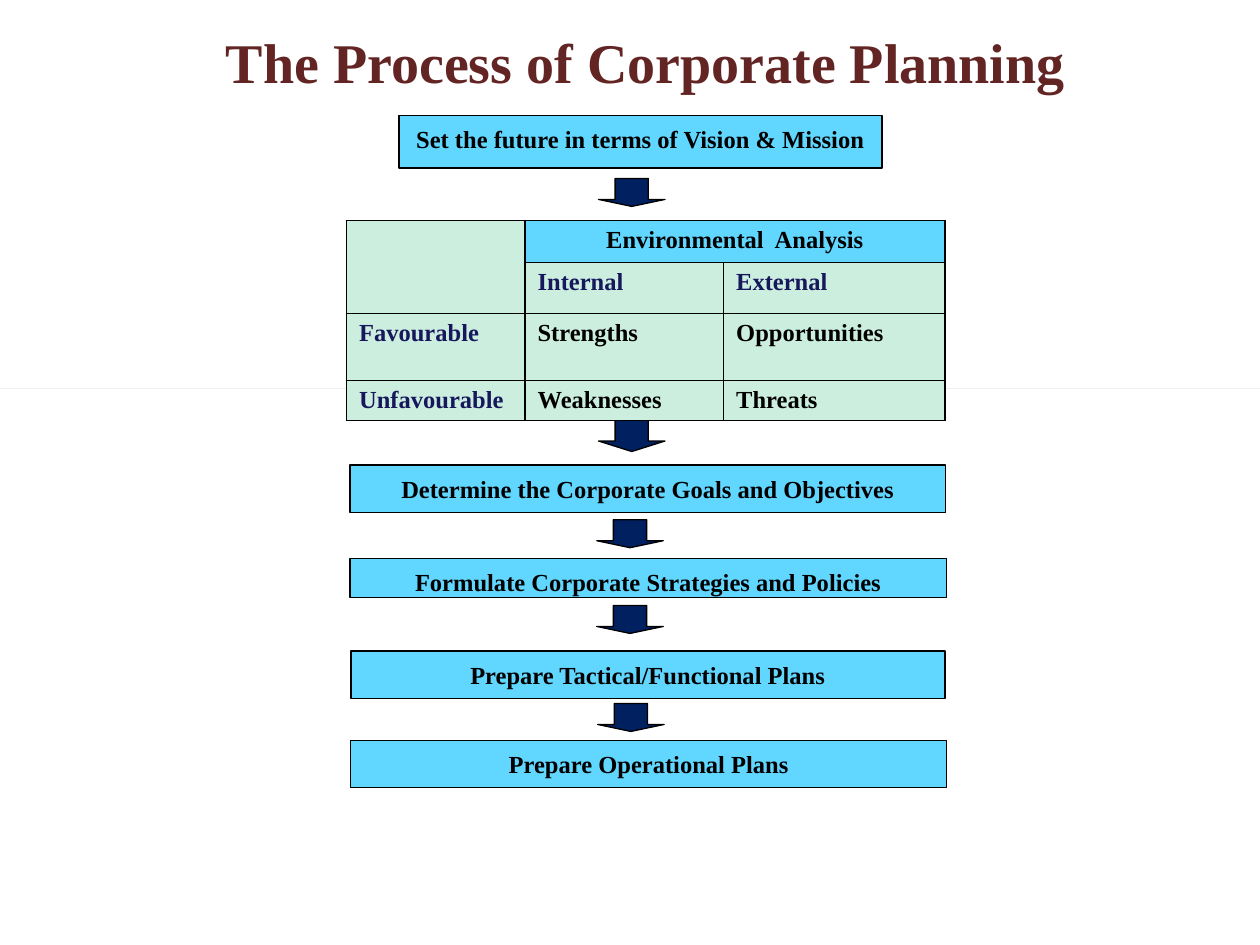
from lxml.etree import SubElement
from pptx import Presentation
from pptx.dml.color import RGBColor
from pptx.enum.shapes import MSO_SHAPE as Shape
from pptx.enum.text import MSO_ANCHOR as Anchor, PP_ALIGN as Align
from pptx.oxml.ns import qn
from pptx.util import Pt

FONT = "Times New Roman"
BLACK, NAVY, INDIGO = "000000", "002060", "17175C"
SKY, MINT, MAROON, GREY = "61D6FF", "CCEEDF", "632523", "808080"

STEPS = [
    ("Set the future in terms of Vision & Mission", (228, 66, 276, 30)),
    ("Determine the Corporate Goals and Objectives", (200, 265.75, 340.5, 27)),
    ("Formulate Corporate Strategies and Policies", (200, 319, 341, 22.5)),
    ("Prepare Tactical/Functional Plans", (200.5, 372, 339.5, 27)),
    ("Prepare Operational Plans", (200.5, 423, 340.5, 27)),
]
ARROWS = [
    (342, 102, 38, 16),
    (342, 234, 38, 24),
    (341, 297, 38, 16),
    (341, 346, 38, 16),
    (341.5, 402, 38, 16),
]
COLUMN_WIDTHS = [102, 113.5, 126.5]
ROW_HEIGHTS = [24, 22.75, 38.25, 22.75]
ANALYSIS = [
    ["", "Environmental  Analysis", ""],
    ["", "Internal", "External"],
    ["Favourable", "Strengths", "Opportunities"],
    ["Unfavourable", "Weaknesses", "Threats"],
]


def color(hex_value):
    """Turn a hex string into a colour."""
    return RGBColor.from_string(hex_value)


def write_text(frame, text, size=14, fill=BLACK, align=Align.CENTER):
    """Write one bold paragraph into a text frame."""
    frame.word_wrap = True
    paragraph = frame.paragraphs[0]
    paragraph.alignment = align
    run = paragraph.add_run()
    run.text = text
    run.font.name = FONT
    run.font.size = Pt(size)
    run.font.bold = True
    run.font.color.rgb = color(fill)


def add_block(slide, kind, box, fill, line=BLACK):
    """Add a filled preset shape with an optional outline."""
    shape = slide.shapes.add_shape(kind, *map(Pt, box))
    shape.shadow.inherit = False
    shape.fill.solid()
    shape.fill.fore_color.rgb = color(fill)
    if line:
        shape.line.color.rgb = color(line)
        shape.line.width = Pt(0.75)
    else:
        shape.line.fill.background()
    return shape


def add_title(slide, box, text):
    """Add the slide heading."""
    title = slide.shapes.add_textbox(*map(Pt, box))
    write_text(title.text_frame, text, size=32, fill=MAROON)


def add_step(slide, box, text):
    """Add one step of the planning process."""
    frame = add_block(slide, Shape.RECTANGLE, box, SKY).text_frame
    frame.vertical_anchor = Anchor.TOP
    frame.margin_top = Pt(5)
    write_text(frame, text)


def add_arrow(slide, box):
    """Add a downward arrow between two steps."""
    arrow = add_block(slide, Shape.DOWN_ARROW, box, NAVY)
    arrow.adjustments[0] = 0.5
    arrow.adjustments[1] = 0.25


def add_borders(cell):
    """Draw a black line on each side of a cell."""
    properties = cell._tc.get_or_add_tcPr()
    for position, side in enumerate(("a:lnL", "a:lnR", "a:lnT", "a:lnB")):
        border = SubElement(properties, qn(side), w=str(Pt(1)))
        fill = SubElement(border, qn("a:solidFill"))
        SubElement(fill, qn("a:srgbClr"), val=BLACK)
        properties.insert(position, border)


def add_analysis(slide, left, top):
    """Add the environmental analysis table."""
    size = sum(COLUMN_WIDTHS), sum(ROW_HEIGHTS)
    table = slide.shapes.add_table(
        len(ROW_HEIGHTS), len(COLUMN_WIDTHS), *map(Pt, (left, top, *size))
    ).table
    table.first_row = table.horz_banding = False
    for column, width in zip(table.columns, COLUMN_WIDTHS):
        column.width = Pt(width)
    for row, height in zip(table.rows, ROW_HEIGHTS):
        row.height = Pt(height)
    table.cell(0, 0).merge(table.cell(1, 0))
    table.cell(0, 1).merge(table.cell(0, 2))
    for r, texts in enumerate(ANALYSIS):
        for c, text in enumerate(texts):
            cell = table.cell(r, c)
            is_banner = r == 0 and c > 0
            cell.fill.solid()
            cell.fill.fore_color.rgb = color(SKY if is_banner else MINT)
            add_borders(cell)
            if text:
                is_label = r == 1 or c == 0
                write_text(
                    cell.text_frame, text,
                    fill=INDIGO if is_label else BLACK,
                    align=Align.CENTER if is_banner else Align.LEFT,
                )


def main():
    """Build and save the slide."""
    presentation = Presentation()
    presentation.slide_width, presentation.slide_height = Pt(720), Pt(540)
    slide = presentation.slides.add_slide(presentation.slide_layouts[6])
    add_block(slide, Shape.RECTANGLE, (0, 222.25, 720, 0), GREY, line=None)
    for text, box in STEPS:
        add_step(slide, box, text)
    for box in ARROWS:
        add_arrow(slide, box)
    add_analysis(slide, 198, 126)
    add_title(slide, (108, 12, 522, 46), "The Process of Corporate Planning")
    presentation.save("out.pptx")


if __name__ == "__main__":
    main()
